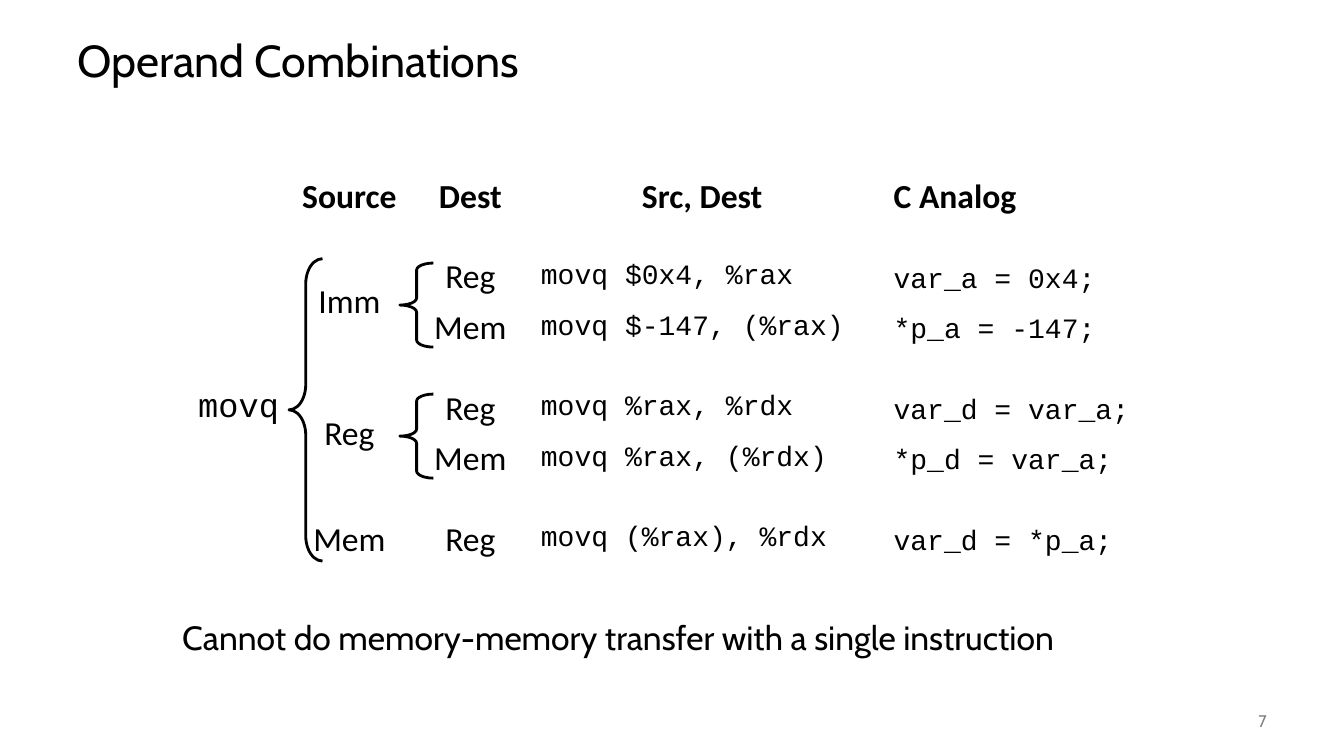
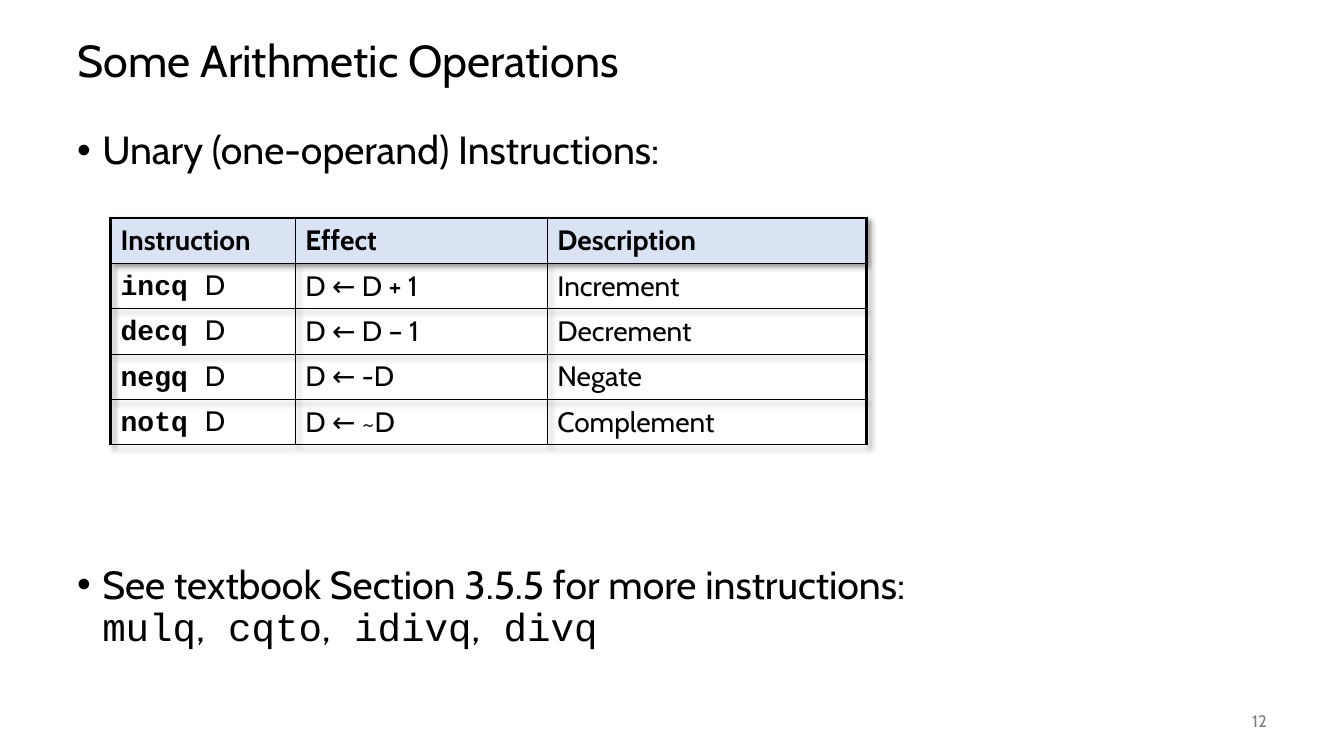
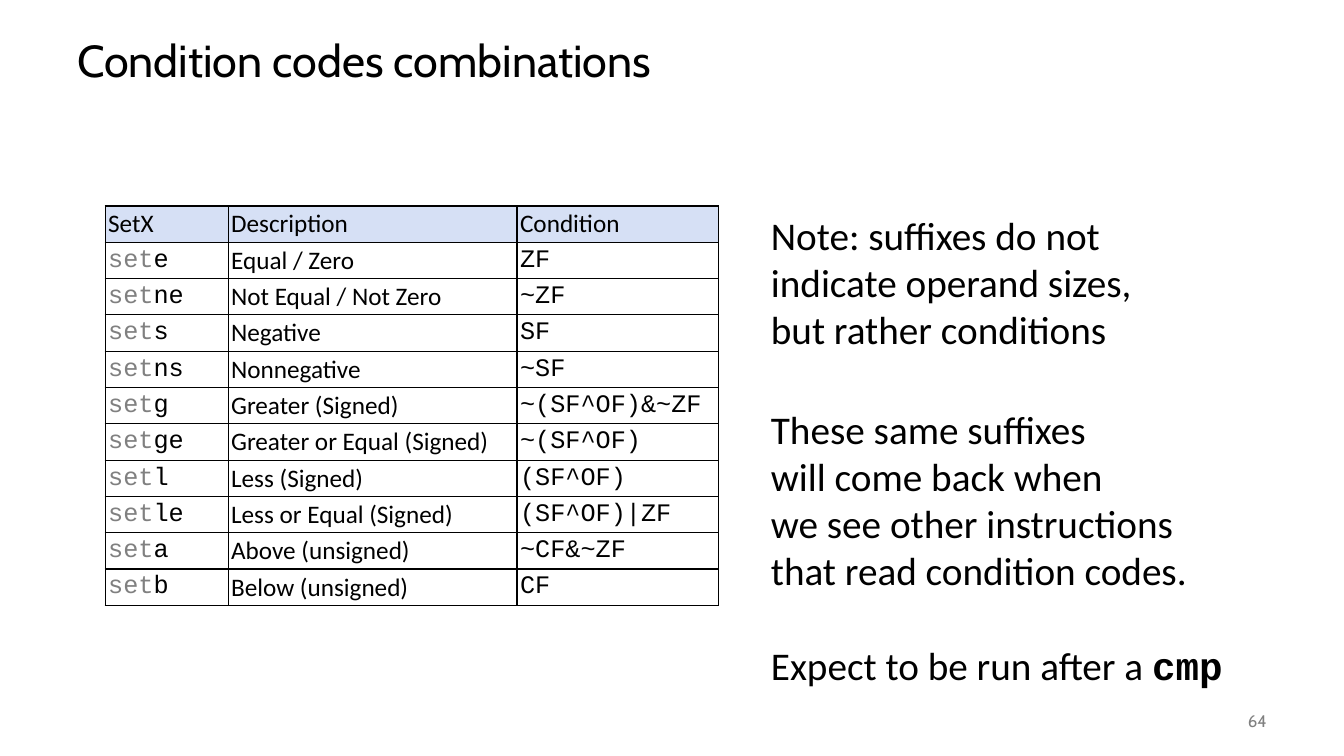
from dataclasses import dataclass
from itertools import accumulate
from typing import NamedTuple, Optional

from pptx import Presentation
from pptx.dml.color import RGBColor
from pptx.enum.shapes import MSO_SHAPE
from pptx.enum.text import MSO_ANCHOR, MSO_AUTO_SIZE, PP_ALIGN
from pptx.oxml.ns import qn
from pptx.oxml.xmlchemy import OxmlElement
from pptx.util import Inches, Pt

LEFT, MID, RIGHT = PP_ALIGN.LEFT, PP_ALIGN.CENTER, PP_ALIGN.RIGHT
TOP, CENTER = MSO_ANCHOR.TOP, MSO_ANCHOR.MIDDLE
NO_FIT = MSO_AUTO_SIZE.NONE
BRACE = MSO_SHAPE.LEFT_BRACE
TITLE_ONLY = 5
WIDE, HIGH = Inches(13.33), Inches(7.5)
COLS, ROWS = 40, 22.5
PLAIN_GRID = "{2D5ABB26-0587-4C30-8999-92F81FD0307C}"


@dataclass(frozen=True)
class Theme:
    ink: str = "000000"
    grey: str = "808080"
    head: str = "DAE3F3"
    tint: str = "D6E0F5"
    sans: str = "Cabin"
    text: str = "Calibri"
    code: str = "Courier New"
    title: int = 32
    body: int = 28
    label: int = 24
    cell: int = 20
    small: int = 18
    page: int = 12
    gap: int = 8
    thin: float = 1
    thick: float = 2.25
    brace: float = 2


T = Theme()


class Box(NamedTuple):
    col: float
    row: float
    wide: float
    high: float


class Run(NamedTuple):
    text: str
    face: str = T.text
    size: int = T.label
    bold: bool = False
    color: str = T.ink


class Para(NamedTuple):
    runs: list[Run]
    align: PP_ALIGN = LEFT
    before: float = 0
    tight: bool = False
    bullet: bool = False


class Cell(NamedTuple):
    para: Optional[Para] = None
    fill: Optional[str] = None
    pads: tuple[float, float, float, float] = (0.1, 0.05, 0.1, 0.05)
    lines: Optional[tuple[float, float, float, float]] = None


class Brace(NamedTuple):
    box: Box
    curl: float


def across(cols: float) -> int:
    return round(WIDE * cols / COLS)


def down(rows: float) -> int:
    return round(HIGH * rows / ROWS)


def place(box: Box) -> tuple[int, int, int, int]:
    return across(box.col), down(box.row), across(box.wide), down(box.high)


def tag(parent, name: str, **attrs: str):
    node = OxmlElement(name)
    for key, value in attrs.items():
        node.set(key, value)
    parent.append(node)
    return node


def write(frame, paras: list[Para]) -> None:
    for index, para in enumerate(paras):
        line = frame.paragraphs[0] if index == 0 else frame.add_paragraph()
        line.alignment = para.align
        if para.before:
            line.space_before = Pt(para.before)
        if para.tight:
            line.line_spacing = 0.9
        if para.bullet:
            props = line._p.get_or_add_pPr()
            props.set("marL", str(Inches(0.25)))
            props.set("indent", str(-Inches(0.25)))
            tag(props, "a:buFont", typeface="Arial")
            tag(props, "a:buChar", char="•")
        for item in para.runs:
            if item.text == "\n":
                line.add_line_break()
                continue
            run = line.add_run()
            run.text = item.text
            run.font.name = item.face
            run.font.size = Pt(item.size)
            run.font.bold = item.bold
            run.font.color.rgb = RGBColor.from_string(item.color)


def add_text(slide, box: Box, paras: list[Para],
             anchor: MSO_ANCHOR = TOP, wrap: bool = True) -> None:
    frame = slide.shapes.add_textbox(*place(box)).text_frame
    frame.word_wrap = wrap
    frame.vertical_anchor = anchor
    write(frame, paras)


def add_brace(slide, brace: Brace) -> None:
    shape = slide.shapes.add_shape(BRACE, *place(brace.box))
    shape.shadow.inherit = False
    shape.fill.background()
    shape.line.color.rgb = RGBColor.from_string(T.ink)
    shape.line.width = Pt(T.brace)
    shape.adjustments[0] = brace.curl
    shape.adjustments[1] = 0.5


def rule(cell, lines: tuple[float, float, float, float]) -> None:
    props = cell._tc.get_or_add_tcPr()
    for index, (side, width) in enumerate(zip("LRTB", lines)):
        edge = OxmlElement(f"a:ln{side}")
        edge.set("w", str(Pt(width)))
        tag(tag(edge, "a:solidFill"), "a:srgbClr", val=T.ink)
        props.insert(index, edge)


def fill_cell(cell, data: Cell, anchor: MSO_ANCHOR) -> None:
    cell.vertical_anchor = anchor
    (cell.margin_left, cell.margin_top,
     cell.margin_right, cell.margin_bottom) = map(Inches, data.pads)
    if data.fill:
        cell.fill.solid()
        cell.fill.fore_color.rgb = RGBColor.from_string(data.fill)
    else:
        cell.fill.background()
    if data.lines:
        rule(cell, data.lines)
    if data.para:
        write(cell.text_frame, [data.para])
    else:
        tag(cell.text_frame.paragraphs[0]._p, "a:endParaRPr", sz=str(T.gap * 100))


def add_grid(slide, left: float, top: float, cols: list[float],
             rows: list[float], cells: list[list[Cell]]):
    box = Box(left, top, sum(cols), sum(rows))
    table = slide.shapes.add_table(len(rows), len(cols), *place(box)).table
    table.first_row = table.horz_banding = False
    props = table._tbl.tblPr
    props.find(qn("a:tableStyleId")).text = PLAIN_GRID
    for col, wide in zip(table.columns, cols):
        col.width = across(wide)
    for row, high, line in zip(table.rows, rows, cells):
        row.height = down(high)
        for cell, data in zip(row.cells, line):
            fill_cell(cell, data, CENTER)
    return table


def add_shade(table) -> None:
    props = table._tbl.tblPr
    effects = OxmlElement("a:effectLst")
    shade = tag(effects, "a:outerShdw", blurRad=str(Pt(4)), dist=str(Pt(3)),
                dir="2700000", algn="tl", rotWithShape="0")
    tag(tag(shade, "a:prstClr", val="black"), "a:alpha", val="40000")
    props.insert(0, effects)


def add_slide(deck, title: str, page: str):
    slide = deck.slides.add_slide(deck.slide_layouts[TITLE_ONLY])
    shape = slide.shapes.title
    shape.left, shape.top, shape.width, shape.height = place(Box(2, 0.75, 36, 2.25))
    frame = shape.text_frame
    frame.auto_size = NO_FIT
    frame.word_wrap = True
    frame.vertical_anchor = CENTER
    write(frame, [Para([Run(title, T.sans, T.title)], tight=True)])
    number = Run(page, T.sans, T.page, color=T.grey)
    add_text(slide, Box(35, 20.85, 3, 1.2), [Para([number], RIGHT)], CENTER)
    return slide


def draw_moves(deck) -> None:
    slide = add_slide(deck, "Operand Combinations", "7")
    left, top = 5.6, 5.1
    cols = [3, 3.6, 3.6, 10.5, 7.8]
    rows = [1.5, 0.9, 1.5, 1.5, 0.9, 1.5, 1.5, 0.9, 1.5]
    tops = list(accumulate(rows, initial=top))
    wide_pad = (0.1, 0.05, 0.2, 0.05)
    slim_pad = (0.05,) * 4
    moves = {
        2: ("Imm", "Reg", "movq $0x4, %rax", "var_a = 0x4;"),
        3: ("", "Mem", "movq $-147, (%rax)", "*p_a = -147;"),
        5: ("Reg", "Reg", "movq %rax, %rdx", "var_d = var_a;"),
        6: ("", "Mem", "movq %rax, (%rdx)", "*p_d = var_a;"),
        8: ("Mem", "Reg", "movq (%rax), %rdx", "var_d = *p_a;"),
    }

    def label(text: str, bold: bool = False, align: PP_ALIGN = MID) -> Cell:
        return Cell(Para([Run(text, bold=bold)], align)) if text else Cell()

    cells = [[Cell() for _ in cols] for _ in rows]
    cells[0][1:] = [label("Source", True), label("Dest", True),
                    label("Src, Dest", True)._replace(pads=wide_pad),
                    label("C Analog", True, LEFT)]
    cells[2][0] = Cell(Para([Run("movq", T.code)], MID), pads=slim_pad)
    for row, (source, dest, move, _) in moves.items():
        code = Para([Run(move, T.code, T.cell)])
        cells[row][1:4] = [label(source), label(dest), Cell(code, pads=wide_pad)]
    table = add_grid(slide, left, top, cols, rows, cells)
    for col, first, last in ((0, 2, 8), (1, 2, 3), (1, 5, 6)):
        table.cell(first, col).merge(table.cell(last, col))

    add_brace(slide, Brace(Box(left + cols[0], tops[2] + 0.2, 1, 9), 0.75))
    for row in (2, 5):
        add_brace(slide, Brace(Box(11.9, tops[row] + 0.33, 1, 2.5), 0.21))
    for row, (*_, analog) in moves.items():
        box = Box(left + sum(cols[:4]), tops[row], cols[4], rows[row])
        add_text(slide, box, [Para([Run(analog, T.code, T.cell)])], CENTER, False)
    note = "Cannot do memory-memory transfer with a single instruction"
    add_text(slide, Box(5.13, 18.2, 29.4, 1.5), [Para([Run(note, T.sans)])])


def draw_unary(deck) -> None:
    slide = add_slide(deck, "Some Arithmetic Operations", "12")

    def sans(text: str) -> Run:
        return Run(text, T.sans, T.body)

    more = [sans("See textbook Section 3.5.5 for more instructions:"), sans("\n"),
            Run("mulq", T.code, T.body)]
    for name in ("cqto", "idivq", "divq"):
        more += [sans(","), Run(f" {name}", T.code, T.body)]
    add_text(slide, Box(2, 3.75, 36, 16.5), [
        Para([sans("Unary (one-operand) Instructions:")], tight=True, bullet=True),
        Para(more, before=280, tight=True, bullet=True),
    ])

    steps = [
        ("incq", "D ← D + 1", "Increment"),
        ("decq", "D ← D – 1", "Decrement"),
        ("negq", "D ← -D", "Negate"),
        ("notq", "D ← ~D", "Complement"),
    ]
    sides = [(T.thick, T.thin), (T.thin, T.thin), (T.thin, T.thick)]
    heads = ("Instruction", "Effect", "Description")
    cells = [[Cell(Para([Run(head, T.sans, T.cell, True)]), T.head,
                   lines=(*side, T.thick, T.thin))
              for head, side in zip(heads, sides)]]
    for name, effect, about in steps:
        parts = [[Run(f"{name} ", T.code, T.cell, True), Run("D", T.sans, T.cell)],
                 [Run(effect, T.sans, T.cell)], [Run(about, T.sans, T.cell)]]
        cells.append([Cell(Para(runs), lines=(*side, T.thin, T.thin))
                      for runs, side in zip(parts, sides)])
    add_shade(add_grid(slide, 3.29, 6.49, [5.5, 7.5, 9.5], [1.35] * len(cells), cells))


def draw_codes(deck) -> None:
    slide = add_slide(deck, "Condition codes combinations", "64")
    codes = [
        ("e", "Equal / Zero", "ZF"),
        ("ne", "Not Equal / Not Zero", "~ZF"),
        ("s", "Negative", "SF"),
        ("ns", "Nonnegative", "~SF"),
        ("g", "Greater (Signed)", "~(SF^OF)&~ZF"),
        ("ge", "Greater or Equal (Signed)", "~(SF^OF)"),
        ("l", "Less (Signed)", "(SF^OF)"),
        ("le", "Less or Equal (Signed)", "(SF^OF)|ZF"),
        ("a", "Above (unsigned)", "~CF&~ZF"),
        ("b", "Below (unsigned)", "CF"),
    ]

    def cell(runs: list[Run], fill: Optional[str] = None) -> Cell:
        return Cell(Para(runs), fill, (0.03,) * 4, (T.thin,) * 4)

    cells = [[cell([Run(head, size=T.small)], T.tint)
              for head in ("SetX", "Description", "Condition")]]
    for end, about, test in codes:
        cells.append([
            cell([Run("set", T.code, T.small, color=T.grey),
                  Run(end, T.code, T.small)]),
            cell([Run(about, size=T.small)]),
            cell([Run(test, T.code, T.small)]),
        ])
    add_grid(slide, 3.13, 6.13, [3.66, 8.6, 6], [1.08] * len(cells), cells)

    def note(text: str) -> Run:
        return Run(text, size=T.body)

    first = ("Note: suffixes do not", "indicate operand sizes,", "but rather conditions")
    add_text(slide, Box(22.65, 6.13, 11.46, 4.53),
             [Para([note(text)]) for text in first], wrap=False)
    add_text(slide, Box(22.65, 11.91, 14.16, 8.79), [
        Para([note("These same suffixes")]),
        Para([note("will come back when"), note("\n"),
              note("we see other instructions")]),
        Para([note("that read condition codes.")]),
        Para([note("Expect to be run after a "), Run("cmp", T.code, T.body, True)],
             before=34),
    ], wrap=False)


def main() -> None:
    deck = Presentation()
    deck.slide_width, deck.slide_height = WIDE, HIGH
    for draw in (draw_moves, draw_unary, draw_codes):
        draw(deck)
    deck.save("out.pptx")


if __name__ == "__main__":
    main()
